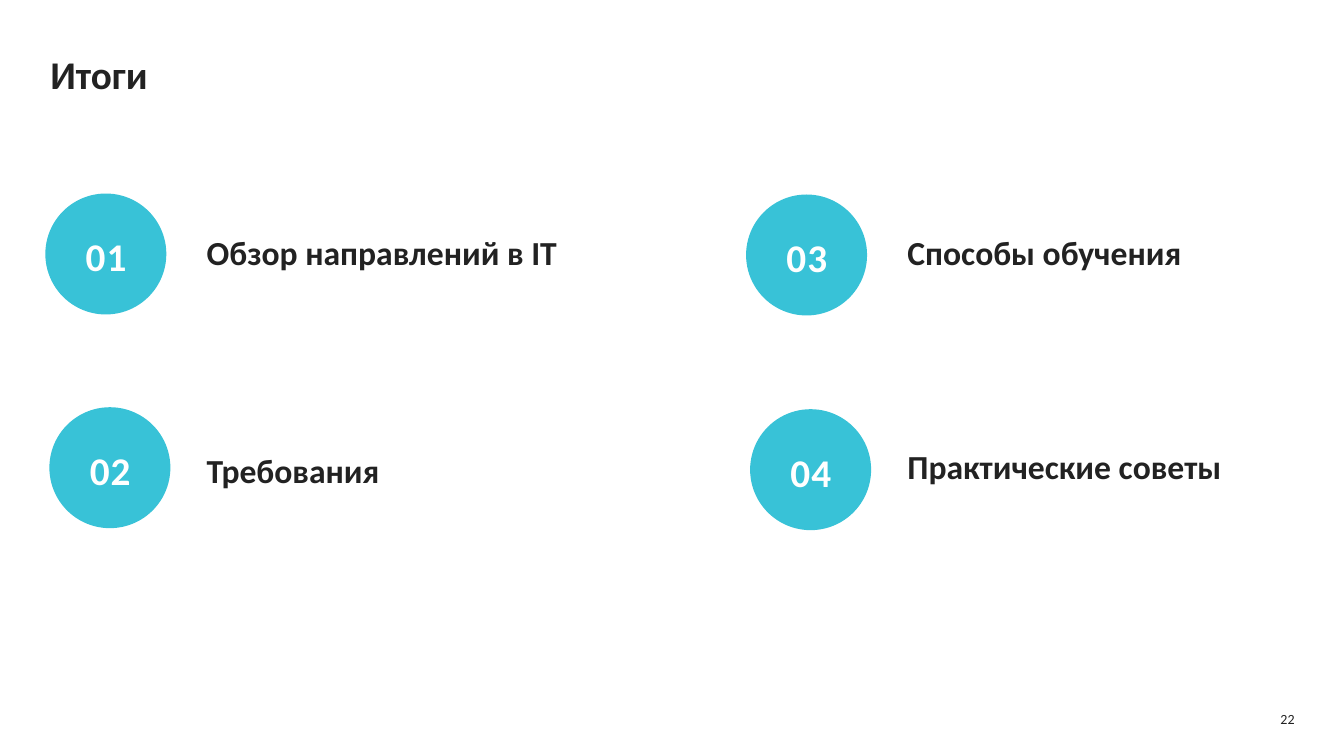
import dataclasses

import pptx
import pptx.dml.color
import pptx.enum.shapes
import pptx.enum.text
import pptx.util

Inches = pptx.util.Inches
Align = pptx.enum.text.PP_ALIGN
Anchor = pptx.enum.text.MSO_ANCHOR
COLORS = {"ink": "222222", "accent": "38C2D7", "white": "FFFFFF"}
FONT = "Calibri"
CIRCLE = 1.2


@dataclasses.dataclass(frozen=True)
class Topic:
    number: str
    label: str
    circle_left: float
    circle_top: float
    label_left: float
    label_top: float
    label_width: float = 4.98


TOPICS = [
    Topic("01", "Обзор направлений в IT", 0.45, 1.92, 2.05, 2.26),
    Topic("02", "Требования", 0.49, 4.04, 2.05, 4.42),
    Topic("03", "Способы обучения", 7.4, 1.93, 9, 2.26),
    Topic("04", "Практические советы", 7.44, 4.06, 9, 4.38, 3.34),
]


def color(name: str) -> pptx.dml.color.RGBColor:
    return pptx.dml.color.RGBColor.from_string(COLORS[name])


def place(box, left: float, top: float, width: float, height: float) -> None:
    box.left, box.top = Inches(left), Inches(top)
    box.width, box.height = Inches(width), Inches(height)


def write(box, text: str, size: int, ink: str = "ink", bold: bool = True,
          align: Align = Align.LEFT, anchor: Anchor = Anchor.TOP):
    frame = box.text_frame
    frame.word_wrap = True
    frame.auto_size = pptx.enum.text.MSO_AUTO_SIZE.NONE
    frame.vertical_anchor = anchor
    frame.margin_left = frame.margin_right = 0
    frame.margin_top = frame.margin_bottom = 0
    frame.text = text
    para = frame.paragraphs[0]
    para.alignment = align
    para.font.name = FONT
    para.font.size = pptx.util.Pt(size)
    para.font.bold = bold
    para.font.color.rgb = color(ink)
    return para


def add_text_box(shapes, left: float, top: float, width: float, height: float):
    return shapes.add_textbox(Inches(left), Inches(top), Inches(width), Inches(height))


def draw_topic(page, topic: Topic) -> None:
    label = add_text_box(page.shapes, topic.label_left, topic.label_top, topic.label_width, 0.42)
    write(label, topic.label, 24).line_spacing = 1.1

    badge = page.shapes.add_group_shape()
    circle = badge.shapes.add_shape(
        pptx.enum.shapes.MSO_SHAPE.OVAL,
        Inches(topic.circle_left), Inches(topic.circle_top), Inches(CIRCLE), Inches(CIRCLE))
    circle.shadow.inherit = False
    circle.fill.solid()
    circle.fill.fore_color.rgb = color("accent")
    circle.line.fill.background()

    number = add_text_box(badge.shapes, topic.circle_left + 0.4, topic.circle_top + 0.34, 0.59, 0.5)
    para = write(number, topic.number, 28, "white")
    para.line_spacing = pptx.util.Pt(36.8)
    para.runs[0]._r.get_or_add_rPr().set("spc", "80")


def main() -> None:
    deck = pptx.Presentation()
    deck.slide_width, deck.slide_height = Inches(13.33), Inches(7.5)
    page = deck.slides.add_slide(deck.slide_layouts.get_by_name("Title Only"))

    title = page.shapes.title
    place(title, 0.5, 0.5, 12.33, 0.5)
    write(title, "Итоги", 28)

    for topic in TOPICS:
        draw_topic(page, topic)

    page_number = add_text_box(page.shapes, 12.57, 7.01, 0.27, 0.24)
    write(page_number, "22", 10, bold=False, align=Align.RIGHT, anchor=Anchor.MIDDLE)
    deck.save("out.pptx")


if __name__ == "__main__":
    main()
